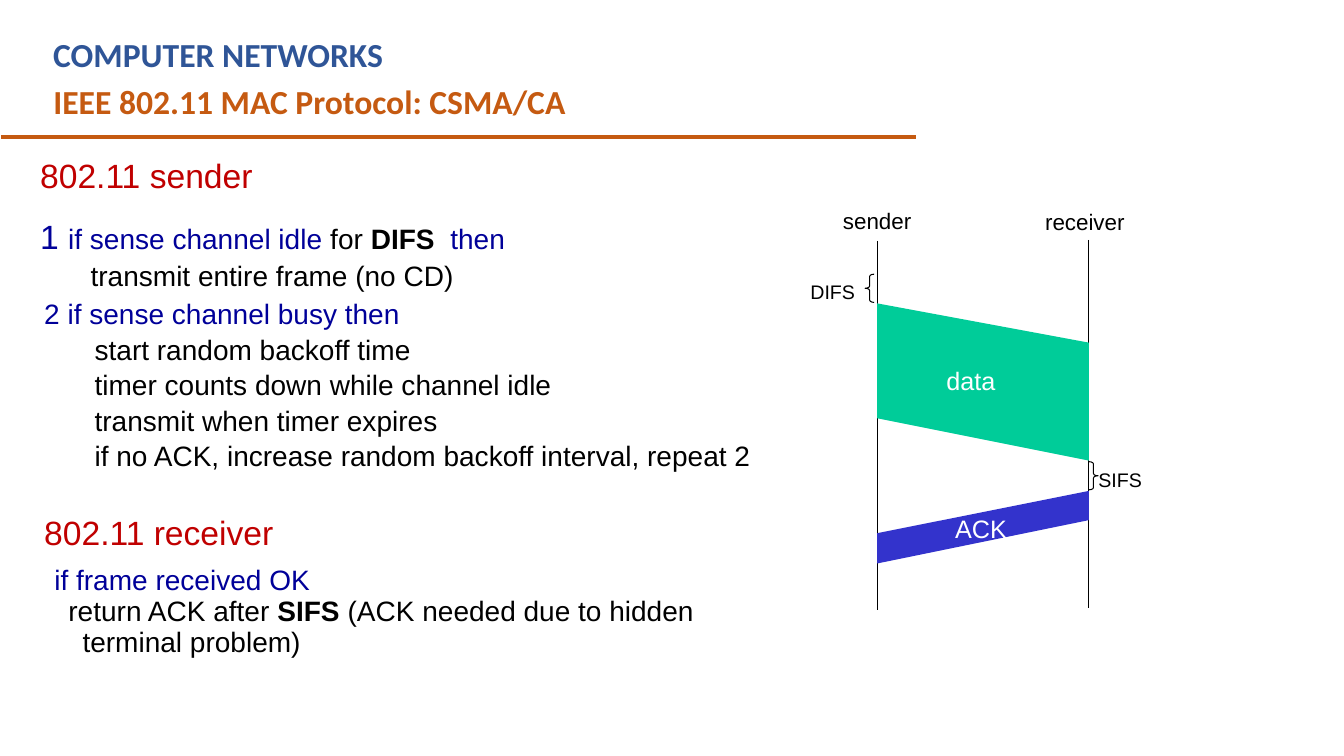
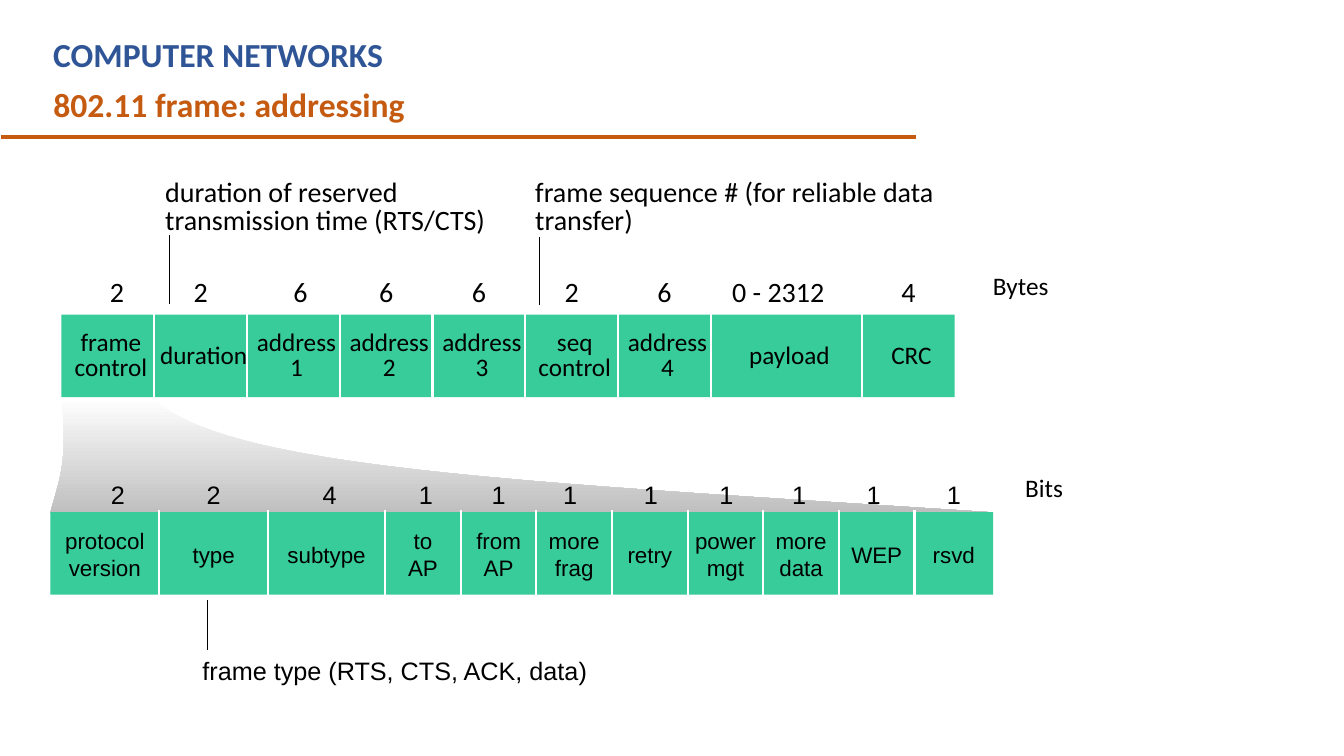
from itertools import accumulate

from pptx import Presentation
from pptx.dml.color import RGBColor
from pptx.enum.shapes import MSO_CONNECTOR, MSO_SHAPE
from pptx.enum.text import MSO_ANCHOR, MSO_AUTO_SIZE, PP_ALIGN
from pptx.oxml.ns import qn
from pptx.util import Inches, Pt

LEFT, CENTER = PP_ALIGN.LEFT, PP_ALIGN.CENTER
TOP, MIDDLE = MSO_ANCHOR.TOP, MSO_ANCHOR.MIDDLE
TITLE_ONLY = 5

THEME = {
    "course": "2F5597", "topic": "C55A11", "heading": "C00000",
    "keyword": "000099", "black": "000000", "white": "FFFFFF",
    "data": "00CC99", "ack": "3333CC", "field": "37CC99", "shade": "BFBFBF",
    "sans": "Arial", "humanist": "Calibri",
    "title": 24, "large": 20, "body": 18, "small": 16, "tiny": 14,
}

# ---- Content: paragraphs are (paragraph format, runs); runs are (text, format)
KEY = {"color": "keyword"}
STEP = {"left": 0.5, "before": 3.2}
RULES = [
    ((0.3, 1.53, 7.31, 1.41), [
        ({"after": 12}, [("802.11 sender", {"color": "heading", "size": "title"})]),
        ({"before": 4.8}, [("1 ", {"color": "keyword", "size": "title"}),
                           ("if sense channel idle", KEY), (" for ", {}),
                           ("DIFS ", {"bold": True}), (" then", KEY)]),
        (STEP, [("transmit entire frame (no CD)", {})]),
    ]),
    ((0.34, 2.93, 7.31, 1.86), [
        ({}, [("2 if sense channel busy then", KEY)]),
        (STEP, [("start random backoff time", {})]),
        (STEP, [("timer counts down while channel idle", {})]),
        (STEP, [("transmit when timer expires", {})]),
        (STEP, [("if no ACK, increase random backoff interval, repeat 2", {})]),
    ]),
    ((0.34, 5.07, 7.31, 1.86), [
        ({"after": 9}, [("802.11 receiver", {"color": "heading", "size": "title"})]),
        ({"left": 0.1}, [("if frame received OK", KEY)]),
        ({"left": 0.38, "first": -0.14}, [
            ("return ACK after ", {}), ("SIFS ", {"bold": True}),
            ("(ACK needed due to hidden terminal problem)", {})]),
    ]),
]

SENDER_X, RECEIVER_X = 8.7, 10.8
TIMELINES = [(SENDER_X, 2.39, 6.05), (RECEIVER_X, 2.38, 6.03)]
FRAMES = [  # colour, sender top and bottom, receiver top and bottom
    ("data", 3.01, 4.15, 3.4, 4.57),
    ("ack", 5.29, 5.59, 4.87, 5.16),
]
BRACES = [(MSO_SHAPE.LEFT_BRACE, 8.58, 2.72), (MSO_SHAPE.RIGHT_BRACE, 10.8, 4.58)]
TIMING_LABELS = [  # text, centre x, centre y, size, colour
    ("sender", 8.7, 2.19, "small", "black"),
    ("receiver", 10.76, 2.2, "small", "black"),
    ("DIFS", 8.26, 2.89, "tiny", "black"),
    ("SIFS", 11.11, 4.76, "tiny", "black"),
    ("data", 9.63, 3.77, "body", "white"),
    ("ACK", 9.73, 5.24, "body", "white"),
]

# Fields: label lines, width, count, shift of the count from the field's centre
FRAME_FIELDS = {
    "left": 0.61, "top": 3.12, "count_y": 2.89, "nudge": 0.03, "font": "humanist",
    "count_size": "large", "label_size": "body", "spacing": 0.8,
    "fields": [
        ("frame\ncontrol", 0.92, "2", 0.09), ("duration", 0.92, "2", 0),
        ("address\n1", 0.92, "6", 0.07), ("address\n2", 0.92, "6", 0),
        ("address\n3", 0.92, "6", 0), ("seq\ncontrol", 0.92, "2", 0),
        ("address\n4", 0.92, "6", 0), ("payload", 1.5, "0 - 2312", -0.08),
        ("CRC", 0.92, "4", 0),
    ],
}
CONTROL_FIELDS = {
    "left": 0.5, "top": 5.08, "count_y": 4.91, "nudge": 0, "font": "sans",
    "count_size": "body", "label_size": "small", "spacing": 1,
    "fields": [
        ("protocol\nversion", 1.08, "2", 0.13), ("type", 1.08, "2", 0),
        ("subtype", 1.16, "4", 0.03), ("to\nAP", 0.75, "1", 0.03),
        ("from\nAP", 0.75, "1", 0), ("more\nfrag", 0.75, "1", -0.04),
        ("retry", 0.75, "1", 0.01), ("power\nmgt", 0.75, "1", 0.01),
        ("more\ndata", 0.75, "1", -0.02), ("WEP", 0.75, "1", -0.03),
        ("rsvd", 0.78, "1", 0),
    ],
}
FIELD_H = 0.82
CALLOUTS = [  # text, box, font, size, pointer x, from y, to y
    ("duration of reserved\ntransmission time (RTS/CTS)", (1.54, 1.73, 3.6, 0.68),
     "humanist", "large", 1.68, 2.33, 3.02),
    ("frame sequence # (for reliable data transfer)", (5.21, 1.73, 4.31, 0.68),
     "humanist", "large", 5.35, 2.35, 3.03),
    ("frame type (RTS, CTS, ACK, data)", (1.91, 6.45, 5.24, 0.4),
     "sans", "body", 2.06, 5.95, 6.45),
]
UNITS = [("Bytes", (9.75, 2.63, 1.81, 0.4)), ("Bits", (10.07, 4.64, 1.81, 0.4))]


# ---- Drawing helpers
def rgb(name):
    return RGBColor.from_string(THEME[name])


def plain(s):
    return [({}, [(line, {})]) for line in s.split("\n")]


def write(sp, paras, size="large", font="sans", color="black", bold=False,
          align=LEFT, anchor=TOP, spacing=1.0, wrap=True):
    tf = sp.text_frame
    for name, value in {"word_wrap": wrap, "vertical_anchor": anchor,
                        "auto_size": MSO_AUTO_SIZE.NONE}.items():
        setattr(tf, name, value)
    for i, (fmt, runs) in enumerate(paras):
        p = tf.add_paragraph() if i else tf.paragraphs[0]
        layout = {"alignment": align, "line_spacing": spacing,
                  "space_before": Pt(fmt.get("before", 0)),
                  "space_after": Pt(fmt.get("after", 0))}
        for name, value in layout.items():
            setattr(p, name, value)
        if "left" in fmt:
            pPr = p._p.get_or_add_pPr()
            pPr.set("marL", str(Inches(fmt["left"])))
            pPr.set("indent", str(Inches(fmt.get("first", 0))))
        for content, look in runs:
            r = p.add_run()
            r.text = content
            style = {"name": THEME[font], "bold": look.get("bold", bold),
                     "size": Pt(THEME[look.get("size", size)])}
            for name, value in style.items():
                setattr(r.font, name, value)
            r.font.color.rgb = rgb(look.get("color", color))


def add_text(s, box, paras, **style):
    write(s.shapes.add_textbox(*map(Inches, box)), paras, **style)


def add_label(s, content, x, y, w=1.2, h=0.66, **style):
    add_text(s, (x - w / 2, y - h / 2, w, h), plain(content),
             align=CENTER, anchor=MIDDLE, wrap=False, **style)


def add_line(s, x1, y1, x2, y2, color="black", width=0.75):
    line = s.shapes.add_connector(MSO_CONNECTOR.STRAIGHT,
                                  *map(Inches, (x1, y1, x2, y2)))
    line.line.color.rgb = rgb(color)
    line.line.width = Pt(width)
    spPr = line._element.spPr
    spPr.append(spPr.makeelement(qn("a:effectLst"), {}))


def add_outline(s, points):
    start, *rest = [tuple(map(Inches, point)) for point in points]
    builder = s.shapes.build_freeform(*start)
    builder.add_line_segments(rest, close=True)
    sp = builder.convert_to_shape()
    sp.shadow.inherit = False
    sp.line.fill.background()
    return sp


def curve(a, b, c, d, steps=32):
    """Points along a cubic curve from a to d."""
    ts = [i / steps for i in range(steps + 1)]
    return [tuple((1 - t) ** 3 * a[k] + 3 * t * (1 - t) ** 2 * b[k]
                  + 3 * t * t * (1 - t) * c[k] + t ** 3 * d[k] for k in (0, 1))
            for t in ts]


def add_slide(prs, topic, topic_y):
    s = prs.slides.add_slide(prs.slide_layouts[TITLE_ONLY])
    title = s.shapes.title
    for name, value in zip(("left", "top", "width", "height"),
                           (0.43, topic_y, 8.2, 0.5)):
        setattr(title, name, Inches(value))
    heading = {"size": "title", "font": "humanist", "bold": True}
    write(title, plain(topic), color="topic", **heading)
    add_text(s, (0.43, 0.29, 8.2, 0.5), plain("COMPUTER NETWORKS"),
             color="course", **heading)
    add_line(s, 0.01, 1.36, 9.09, 1.36, "topic", 3)
    return s


def add_field_row(s, row):
    left, top, fields = row["left"], row["top"], row["fields"]
    edges = list(accumulate([f[1] for f in fields], initial=left))
    bar = s.shapes.add_shape(MSO_SHAPE.RECTANGLE, *map(
        Inches, (left, top, edges[-1] - left, FIELD_H)))
    bar.shadow.inherit = False
    bar.fill.solid()
    bar.fill.fore_color.rgb = rgb("field")
    bar.line.fill.background()
    for x in edges[1:-1]:
        add_line(s, x, top - 0.02, x, top + FIELD_H + 0.04, "white", 1.5)
    for x, (name, width, count, shift) in zip(edges, fields):
        mid = x + width / 2
        add_label(s, name, mid + row["nudge"], top + FIELD_H / 2 + 0.01, width,
                  size=row["label_size"], font=row["font"], spacing=row["spacing"])
        add_label(s, count, mid + shift, row["count_y"], width, 0.4,
                  size=row["count_size"], font=row["font"])


# ---- Slides
def build_protocol(prs):
    s = add_slide(prs, "IEEE 802.11 MAC Protocol: CSMA/CA", 0.75)
    for box, paras in RULES:
        add_text(s, box, paras, spacing=0.92)
    for x, y1, y2 in TIMELINES:
        add_line(s, x, y1, x, y2)
    for color, s_top, s_bottom, r_top, r_bottom in FRAMES:
        sp = add_outline(s, [(SENDER_X, s_top), (RECEIVER_X, r_top),
                             (RECEIVER_X, r_bottom), (SENDER_X, s_bottom)])
        sp.fill.solid()
        sp.fill.fore_color.rgb = rgb(color)
    for kind, x, y in BRACES:
        sp = s.shapes.add_shape(kind, *map(Inches, (x, y, 0.09, 0.28)))
        sp.shadow.inherit = False
        sp.adjustments[0] = 0.25
        sp.fill.background()
        sp.line.color.rgb = rgb("black")
        sp.line.width = Pt(0.75)
    for content, x, y, size, color in TIMING_LABELS:
        add_label(s, content, x, y, h=0.4, size=size, color=color)


def build_frame(prs):
    s = add_slide(prs, "802.11 frame: addressing", 0.78)
    # Shaded zoom from the frame control field to its bits
    zoom = add_outline(s, curve((0.61, 3.94), (0.67, 4.6), (0.6, 4.71), (0.5, 5.09))
                       + curve((9.8, 5.08), (5.18, 4.78), (2.2, 4.65), (1.51, 3.94)))
    zoom.fill.gradient()
    zoom.fill.gradient_angle = 270
    for stop, color in zip(zoom.fill.gradient_stops, ("white", "shade")):
        stop.color.rgb = rgb(color)
    for row in (FRAME_FIELDS, CONTROL_FIELDS):
        add_field_row(s, row)
    for content, box, font, size, x, y1, y2 in CALLOUTS:
        add_text(s, box, plain(content), font=font, size=size,
                 spacing=0.85 if size == "large" else 1.0)
        add_line(s, x, y1, x, y2, width=1)
    for unit, box in UNITS:
        add_text(s, box, plain(unit), font="humanist", size="body")


def main():
    prs = Presentation()
    prs.slide_width, prs.slide_height = Inches(13.33), Inches(7.5)
    build_protocol(prs)
    build_frame(prs)
    prs.save("out.pptx")


if __name__ == "__main__":
    main()
